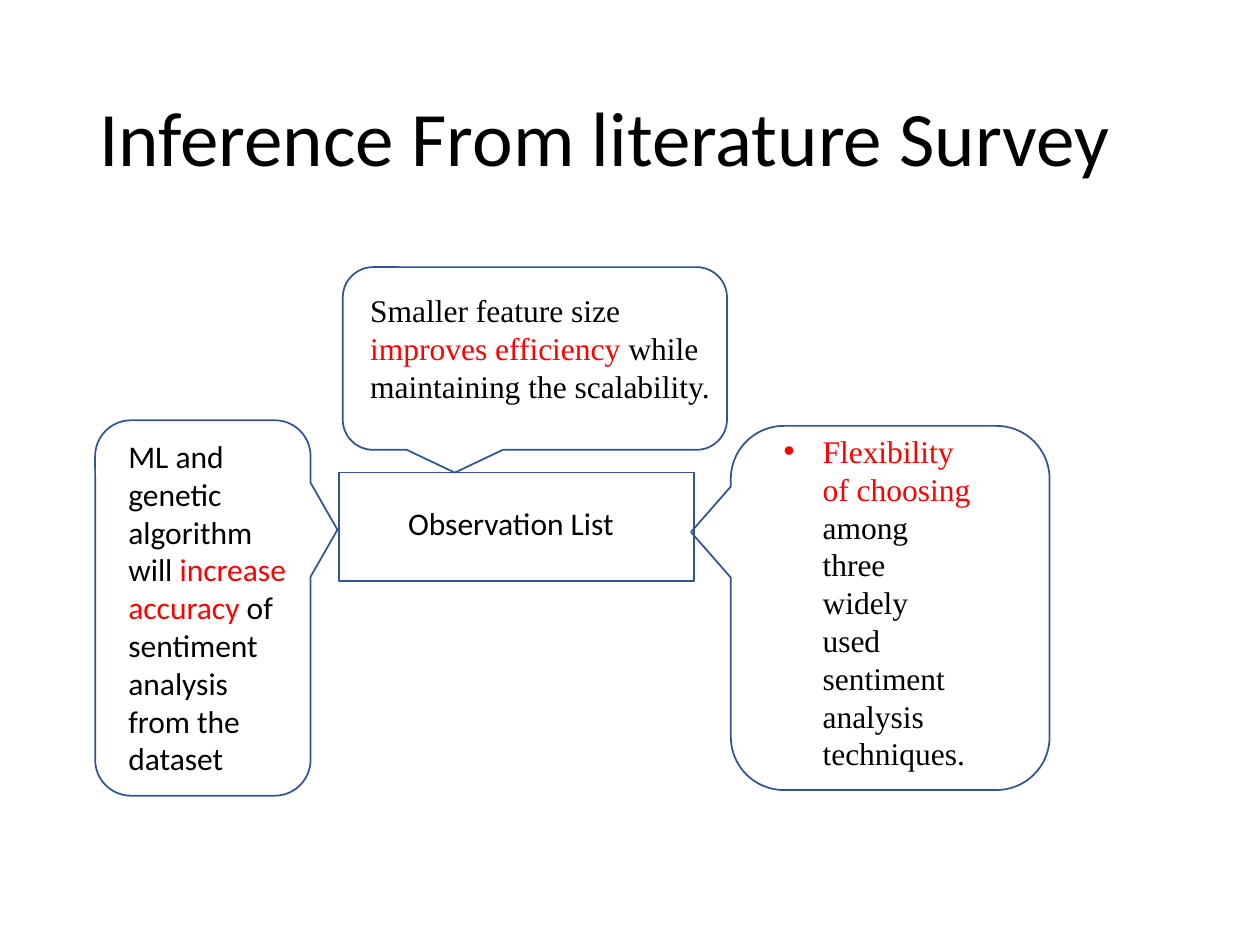
from lxml.etree import SubElement
from pptx import Presentation
from pptx.dml.color import RGBColor
from pptx.enum.shapes import MSO_SHAPE as Shape
from pptx.enum.text import MSO_ANCHOR as Anchor, MSO_AUTO_SIZE as AutoSize, PP_ALIGN as Align
from pptx.oxml.ns import qn
from pptx.util import Inches, Pt

BLACK, RED, OUTLINE = "000000", "FF0000", "325491"
SANS, SERIF = "Calibri", "Times New Roman"


def color(hex_value):
    return RGBColor.from_string(hex_value)


def write_text(para, parts, font=SANS, size=18):
    """Fill a paragraph with (text, colour) parts."""
    para.alignment = Align.LEFT
    for text, hex_value in parts:
        span = para.add_run()
        span.text = text
        span.font.name = font
        span.font.size = Pt(size)
        span.font.color.rgb = color(hex_value)


def add_bullet(para, indent=0.31):
    properties = para._p.get_or_add_pPr()
    properties.set("marL", str(Inches(indent)))
    properties.set("indent", str(-Inches(indent)))
    SubElement(properties, qn("a:buFont"), typeface="Arial")
    SubElement(properties, qn("a:buChar"), char="•")


def add_title(page, text):
    title = page.shapes.title
    title.left, title.top = Inches(0.69), Inches(0.4)
    title.width, title.height = Inches(8.62), Inches(1.45)
    title.text_frame.vertical_anchor = Anchor.MIDDLE
    para = title.text_frame.paragraphs[0]
    para.line_spacing = 0.9
    write_text(para, [(text, BLACK)], size=44)


def add_outline(page, kind, bounds, rotation=0, flipped=False):
    shape = page.shapes.add_shape(kind, *map(Inches, bounds))
    shape.shadow.inherit = False
    shape.fill.background()
    shape.line.color.rgb = color(OUTLINE)
    shape.line.width = Pt(1)
    shape.rotation = rotation
    if flipped:
        shape.element.spPr.find(qn("a:xfrm")).set("flipV", "1")


def add_text(page, bounds, parts, font=SANS, bullet=False):
    box = page.shapes.add_textbox(*map(Inches, bounds))
    frame = box.text_frame
    frame.word_wrap = True
    frame.auto_size = AutoSize.SHAPE_TO_FIT_TEXT
    para = frame.paragraphs[0]
    write_text(para, parts, font=font)
    if bullet:
        add_bullet(para)


def main():
    deck = Presentation()
    deck.slide_width, deck.slide_height = Inches(10), Inches(7.5)
    page = deck.slides.add_slide(deck.slide_layouts[5])
    add_title(page, "Inference From literature Survey")

    add_outline(page, Shape.RECTANGLE, (2.69, 3.75, 2.82, 0.86))
    add_text(page, (3.14, 3.95, 2.53, 0.71), [("Observation List", BLACK)])

    callout = Shape.ROUNDED_RECTANGULAR_CALLOUT
    add_outline(page, callout, (2.72, 2.12, 3.05, 1.45))
    add_outline(page, callout, (5.62, 3.56, 2.89, 2.53), rotation=90)
    add_outline(page, callout, (0.12, 3.97, 2.98, 1.71), rotation=90, flipped=True)

    add_text(page, (2.84, 2.26, 2.96, 1.01), [
        ("Smaller feature size ", BLACK),
        ("improves efficiency ", RED),
        ("while maintaining the scalability.", BLACK),
    ], font=SERIF)
    add_text(page, (6.12, 3.38, 1.69, 3.13), [
        ("Flexibility of choosing ", RED),
        ("among three widely used sentiment analysis techniques.", BLACK),
    ], font=SERIF, bullet=True)
    add_text(page, (0.92, 3.42, 1.48, 2.83), [
        ("ML and genetic algorithm will ", BLACK),
        ("increase accuracy ", RED),
        ("of sentiment analysis from the dataset", BLACK),
    ])

    deck.save("out.pptx")


if __name__ == "__main__":
    main()
